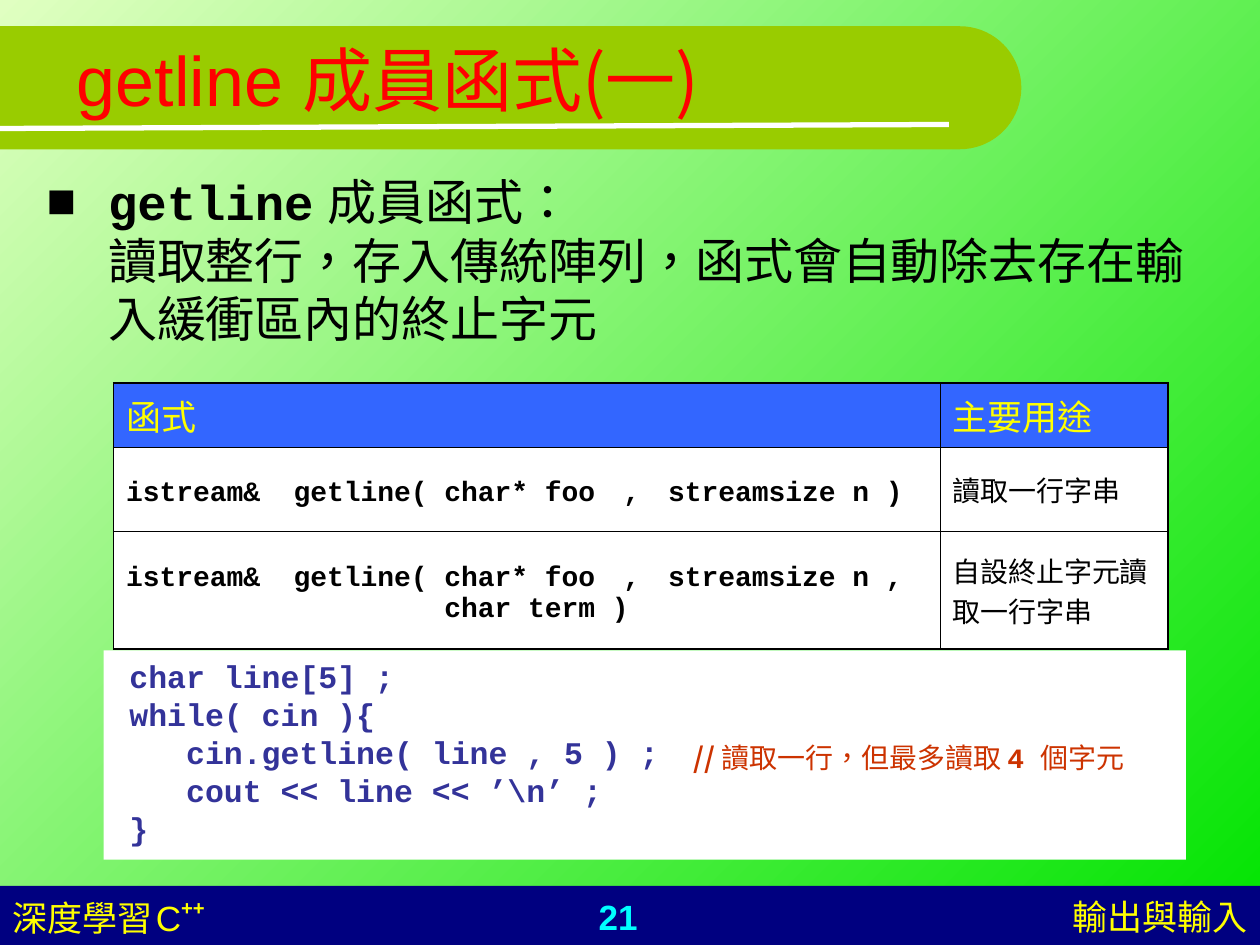
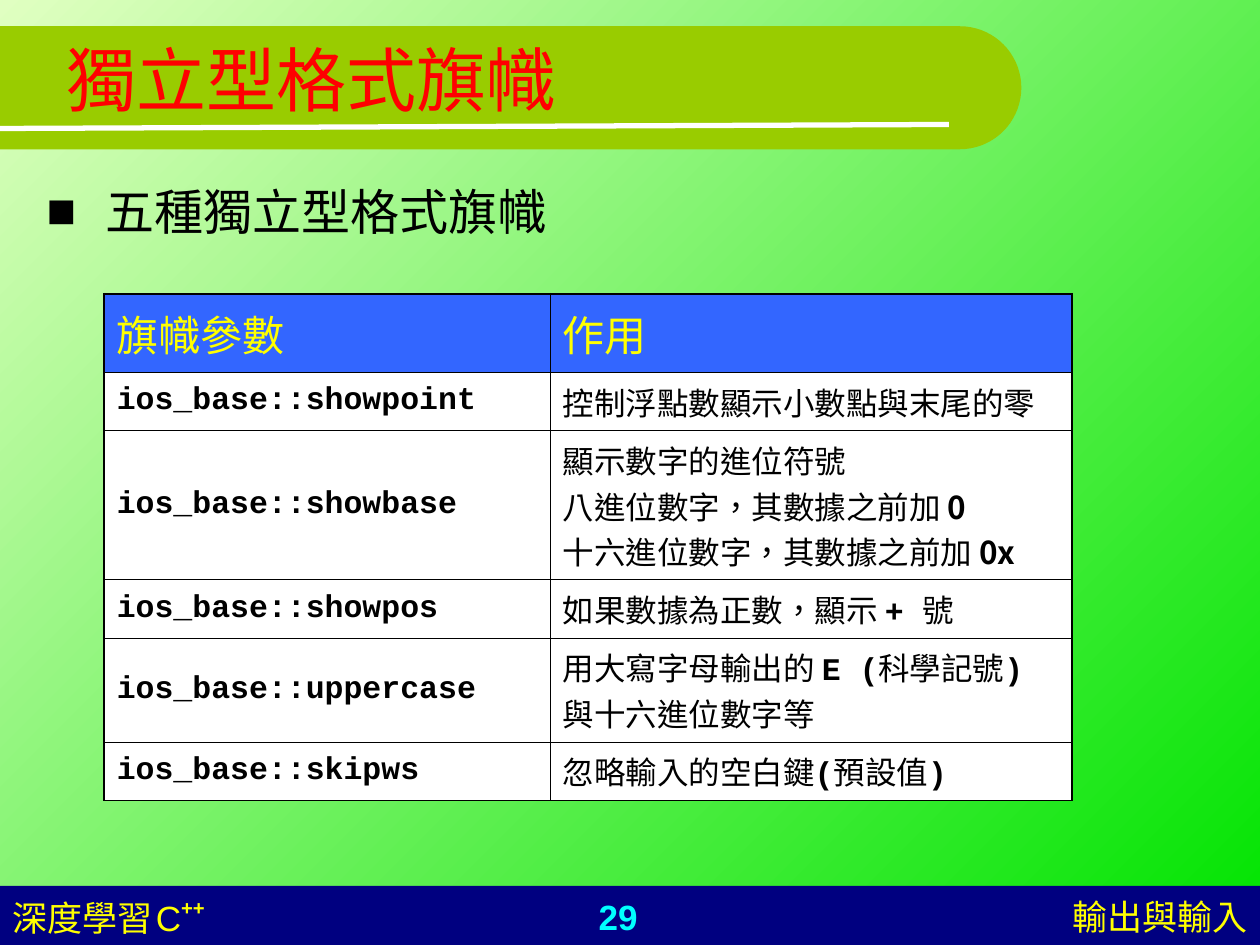
import math
from dataclasses import dataclass
from typing import Optional

import lxml.etree
import pptx
import pptx.dml.color
import pptx.enum.shapes
import pptx.enum.text
import pptx.oxml.ns
import pptx.util

Cm = pptx.util.Cm
Pt = pptx.util.Pt
RGBColor = pptx.dml.color.RGBColor
Align = pptx.enum.text.PP_ALIGN
Anchor = pptx.enum.text.MSO_ANCHOR
qn = pptx.oxml.ns.qn

BLACK = RGBColor(0x00, 0x00, 0x00)
WHITE = RGBColor(0xFF, 0xFF, 0xFF)
PALE_GREEN = RGBColor(0xE0, 0xFF, 0xC1)
VIVID_GREEN = RGBColor(0x00, 0xE4, 0x00)
OLIVE = RGBColor(0x99, 0xCC, 0x00)
NAVY = RGBColor(0x00, 0x00, 0x80)
CYAN = RGBColor(0x00, 0xFF, 0xFF)
YELLOW = RGBColor(0xFF, 0xFF, 0x00)
RED = RGBColor(0xFF, 0x00, 0x00)
HEADER_BLUE = RGBColor(0x33, 0x66, 0xFF)
CODE_BLUE = RGBColor(0x33, 0x33, 0x99)
COMMENT_RED = RGBColor(0xCC, 0x33, 0x00)

SANS = "Arial"
MONO = "Courier New"
CJK = "Noto Sans CJK SC"
LANGUAGE = "zh-TW"

OUTER_BORDER = Pt(1.08)
INNER_BORDER = Pt(0.45)


@dataclass(frozen=True)
class Span:
    """A stretch of text in one style; a newline is a line break."""
    text: str
    size: float
    font: str = MONO
    color: RGBColor = BLACK
    bold: bool = False
    baseline: int = 0


@dataclass(frozen=True)
class Box:
    """Left, top, width and height in centimetres."""
    left: float
    top: float
    width: float
    height: float

    def lengths(self) -> tuple:
        return Cm(self.left), Cm(self.top), Cm(self.width), Cm(self.height)


@dataclass(frozen=True)
class Label:
    box: Box
    spans: list[Span]
    align: Align = Align.LEFT
    anchor: Anchor = Anchor.TOP
    wrap: bool = True
    line_points: Optional[float] = None
    bullet_indent: Optional[float] = None


@dataclass(frozen=True)
class Grid:
    left: float
    top: float
    columns: list[float]
    rows: list[float]
    cells: list[list[list[Span]]]


def write_spans(paragraph, spans: list[Span]) -> None:
    for span in spans:
        for index, line in enumerate(span.text.split("\n")):
            if index:
                paragraph.add_line_break()
            if not line:
                continue
            run = paragraph.add_run()
            run.text = line
            run.font.size = Pt(span.size)
            run.font.bold = span.bold
            run.font.color.rgb = span.color
            run.font.name = span.font
            properties = run._r.get_or_add_rPr()
            properties.set("lang", LANGUAGE)
            lxml.etree.SubElement(properties, qn("a:ea"), typeface=CJK)
            if span.baseline:
                properties.set("baseline", str(span.baseline))


def add_square_bullet(paragraph, indent: float) -> None:
    properties = paragraph._p.get_or_add_pPr()
    properties.set("marL", str(Cm(indent)))
    properties.set("indent", str(-Cm(indent)))
    tint = lxml.etree.SubElement(properties, qn("a:buClr"))
    lxml.etree.SubElement(tint, qn("a:srgbClr"), val=str(BLACK))
    lxml.etree.SubElement(properties, qn("a:buFont"), typeface=SANS)
    lxml.etree.SubElement(properties, qn("a:buChar"), char="■")


def add_label(slide, label: Label) -> None:
    frame = slide.shapes.add_textbox(*label.box.lengths()).text_frame
    frame.word_wrap = label.wrap
    frame.vertical_anchor = label.anchor
    paragraph = frame.paragraphs[0]
    if label.bullet_indent:
        add_square_bullet(paragraph, label.bullet_indent)
    paragraph.alignment = label.align
    if label.line_points:
        paragraph.line_spacing = Pt(label.line_points)
    write_spans(paragraph, label.spans)


def paint(shape, color: RGBColor) -> None:
    shape.shadow.inherit = False
    shape.fill.solid()
    shape.fill.fore_color.rgb = color
    shape.line.fill.background()


def add_panel(slide, box: Box, color: RGBColor) -> None:
    paint(slide.shapes.add_shape(
        pptx.enum.shapes.MSO_SHAPE.RECTANGLE, *box.lengths()), color)


def add_title_band(slide) -> None:
    """Draw the band with a round right end and its underline."""
    center_x, center_y, radius = 19.35, 1.77, 1.24
    angles = [math.radians(degree) for degree in range(-90, 91, 5)]
    outline = [(Cm(center_x + radius * math.cos(a)),
                Cm(center_y + radius * math.sin(a))) for a in angles]
    builder = slide.shapes.build_freeform(0, Cm(center_y - radius))
    builder.add_line_segments(outline + [(0, Cm(center_y + radius))])
    paint(builder.convert_to_shape(), OLIVE)

    underline = slide.shapes.add_connector(
        pptx.enum.shapes.MSO_CONNECTOR.STRAIGHT,
        0, Cm(2.59), Cm(19.13), Cm(2.51))
    underline.line.color.rgb = WHITE
    underline.line.width = Pt(3)
    lxml.etree.SubElement(underline._element.spPr, qn("a:effectLst"))


def add_footer(slide, page: int) -> None:
    def footer_span(text: str, size: float = 20, **style) -> Span:
        return Span(text, size, SANS, **{"color": YELLOW, **style})

    add_label(slide, Label(Box(9.5, 17.93, 5.92, 1.78),
                           [footer_span(str(page), color=CYAN, bold=True)],
                           Align.CENTER))
    add_label(slide, Label(Box(16.69, 17.93, 8.71, 1.12),
                           [footer_span("輸出與輸入")], Align.RIGHT,
                           line_points=24))
    add_label(slide, Label(Box(0, 17.93, 5.92, 1.12), [
        footer_span("深度學習"), footer_span(" ", 8), footer_span("C"),
        footer_span("++", bold=True, baseline=46000)]))


def add_page(deck, page: int, title: Label):
    slide = deck.slides.add_slide(deck.slide_layouts[6])
    add_panel(slide, Box(0, 17.86, 25.4, 1.19), NAVY)
    add_title_band(slide)
    add_footer(slide, page)
    add_label(slide, title)
    return slide


def title_label(left: float, width: float, *spans: Span) -> Label:
    return Label(Box(left, 0, width, 3.18), list(spans), anchor=Anchor.MIDDLE)


def border_cell(cell, outer_sides: dict[str, bool]) -> None:
    """Put border lines ahead of the fill, thick where a side is outer."""
    properties = cell._tc.get_or_add_tcPr()
    for position, (side, outer) in enumerate(outer_sides.items()):
        width = OUTER_BORDER if outer else INNER_BORDER
        line = lxml.etree.Element(qn("a:" + side), w=str(width))
        ink = lxml.etree.SubElement(line, qn("a:solidFill"))
        lxml.etree.SubElement(ink, qn("a:srgbClr"), val=str(BLACK))
        properties.insert(position, line)


def add_grid(slide, grid: Grid) -> None:
    box = Box(grid.left, grid.top, sum(grid.columns), sum(grid.rows))
    last_row, last_column = len(grid.rows) - 1, len(grid.columns) - 1
    table = slide.shapes.add_table(
        last_row + 1, last_column + 1, *box.lengths()).table
    table.horz_banding = False
    table.first_row = False
    for column, width in zip(table.columns, grid.columns):
        column.width = Cm(width)
    for row, height in zip(table.rows, grid.rows):
        row.height = Cm(height)
    for r, row_cells in enumerate(grid.cells):
        for c, spans in enumerate(row_cells):
            cell = table.cell(r, c)
            cell.vertical_anchor = Anchor.MIDDLE
            cell.fill.solid()
            cell.fill.fore_color.rgb = WHITE if r else HEADER_BLUE
            border_cell(cell, {"lnL": c == 0, "lnR": c == last_column,
                               "lnT": r == 0, "lnB": r == last_row})
            write_spans(cell.text_frame.paragraphs[0], spans)


def build_getline_page(deck) -> None:
    slide = add_page(deck, 21, title_label(
        1.3, 16, Span("getline 成員函式", 40, SANS, RED),
        Span("(一)", 40, CJK, RED)))
    add_panel(slide, Box(2.09, 13.11, 21.82, 4.22), WHITE)

    signature = "istream&  getline( char* foo　,　streamsize n "
    add_grid(slide, Grid(2.29, 7.72, [16.66, 4.6], [1.29, 1.7, 2.37], [
        [[Span(heading, 20, CJK, YELLOW)] for heading in ("函式", "主要用途")],
        [[Span(signature + ")", 16, bold=True)], [Span("讀取一行字串", 16)]],
        [[Span(signature + ",\n                   char term )", 16, bold=True)],
         [Span("自設終止字元讀取一行字串", 16)]],
    ]))
    add_label(slide, Label(Box(0.69, 3.33, 23.57, 3.89), [
        Span("getline", 28, bold=True),
        Span("　", 8),
        Span("成員函式：\n讀取整行，存入傳統陣列，"
             "函式會自動除去存在輸入緩衝區內的終止字元", 28),
    ], line_points=33.6, bullet_indent=1.24))

    code = """char line[5] ;
while( cin ){
   cin.getline( line , 5 ) ;
   cout << line << ’\\n’ ;
}"""
    add_label(slide, Label(Box(2.36, 13.13, 11.18, 4.06),
                           [Span(code, 18, MONO, CODE_BLUE, True)],
                           wrap=False, line_points=21.6))
    add_label(slide, Label(Box(13.74, 14.81, 9.63, 0.94), [
        Span("// ", 16, CJK, COMMENT_RED, True),
        Span("讀取一行", 16, CJK, COMMENT_RED),
        Span("，但最多讀取 ", 16, MONO, COMMENT_RED),
        Span("4 ", 16, MONO, COMMENT_RED, True),
        Span("個字元", 16, MONO, COMMENT_RED),
    ], wrap=False, line_points=19.2))


def build_flags_page(deck) -> None:
    slide = add_page(deck, 29, title_label(
        1.09, 22.86, Span("獨立型格式旗幟", 40, SANS, RED)))

    def plain(text: str, font: str = MONO) -> Span:
        return Span(text, 18, font)

    def strong(text: str, font: str = MONO) -> Span:
        return Span(text, 18, font, bold=True)

    effects = {
        "showpoint": [plain("控制浮點數顯示小數點與末尾的零", CJK)],
        "showbase": [
            plain("顯示數字的進位符號\n八進位數字，其數據之前加 ", CJK),
            strong("0\n", CJK),
            plain("十六進位數字，其數據之前加 ", CJK), strong("0x", CJK)],
        "showpos": [plain("如果數據為正數，顯示 "), strong("+ "), plain("號")],
        "uppercase": [plain("用大寫字母輸出的 "), strong("E ("),
                      plain("科學記號"), strong(")\n"),
                      plain("與十六進位數字等")],
        "skipws": [plain("忽略輸入的空白鍵"), strong("("),
                   plain("預設值"), strong(")")],
    }
    headings = [[Span(heading, 24, MONO, YELLOW)]
                for heading in ("旗幟參數", "作用")]
    add_grid(slide, Grid(
        2.1, 5.92, [8.99, 10.52], [1.58, 1.18, 3, 1.18, 2.1, 1.18],
        [headings] + [[[strong("ios_base::" + flag)], effect]
                      for flag, effect in effects.items()]))
    add_label(slide, Label(Box(0.69, 3.53, 22.83, 1.68),
                           [Span("五種獨立型格式旗幟", 28)],
                           line_points=33.6, bullet_indent=1.19))


def main() -> None:
    deck = pptx.Presentation()
    deck.slide_width, deck.slide_height = Cm(25.4), Cm(19.05)
    backdrop = deck.slide_master.background.fill
    backdrop.gradient()
    backdrop.gradient_angle = 315
    for stop, color in zip(backdrop.gradient_stops, (PALE_GREEN, VIVID_GREEN)):
        stop.color.rgb = color
    build_getline_page(deck)
    build_flags_page(deck)
    deck.save("out.pptx")


if __name__ == "__main__":
    main()
